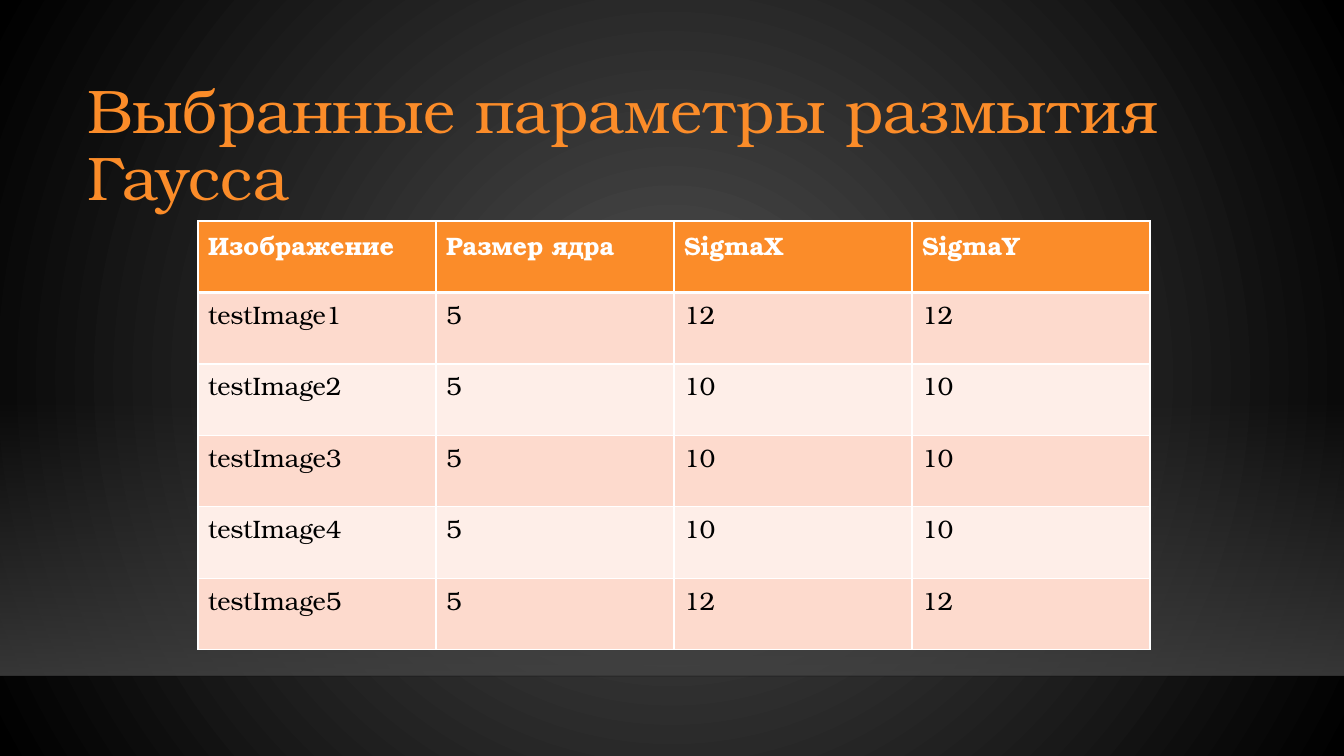
import pptx
import pptx.util
import pptx.dml.color
import pptx.enum.shapes
import pptx.enum.text
import pptx.oxml
import pptx.oxml.ns

RGB = pptx.dml.color.RGBColor
ORANGE = RGB(0xFB, 0x8C, 0x29)
ROSE = RGB(0xFD, 0xDA, 0xCD)
PALE = RGB(0xFE, 0xEE, 0xE8)
WHITE = RGB(0xFF, 0xFF, 0xFF)
BLACK = RGB(0, 0, 0)
GLOW = RGB(0x50, 0x50, 0x50)
HAZE = RGB(0x45, 0x45, 0x45)
EDGE = RGB(0, 0, 1)

WIDE, HIGH = 1344, 756
FONT = "TeX Gyre Bonum"
NS = pptx.oxml.ns.nsdecls("a")
qn = pptx.oxml.ns.qn

ROWS = [
    ("Изображение", "Размер ядра", "SigmaX", "SigmaY"),
    ("testImage1", "5", "12", "12"),
    ("testImage2", "5", "10", "10"),
    ("testImage3", "5", "10", "10"),
    ("testImage4", "5", "10", "10"),
    ("testImage5", "5", "12", "12"),
]


def px(num):
    return pptx.util.Emu(round(num * 12192000 / WIDE))


def style(para, size, color, bold=False):
    font = para.font
    font.name, font.size, font.bold = FONT, pptx.util.Pt(size), bold
    font.color.rgb = color


def blend(host, stops, way):
    """Swap the solid fill of host for a gradient of (color, opacity) stops."""
    marks = "".join(
        f'<a:gs pos="{pos}"><a:srgbClr val="{color}">'
        f'<a:alpha val="{alpha * 1000}"/></a:srgbClr></a:gs>'
        for pos, (color, alpha) in zip((0, 100000), stops))
    grad = pptx.oxml.parse_xml(
        f'<a:gradFill {NS} rotWithShape="1"><a:gsLst>{marks}</a:gsLst>{way}</a:gradFill>')
    host.replace(host.find(qn("a:solidFill")), grad)


def add_back(slide):
    slide.background.fill.solid()
    slide.background.fill.fore_color.rgb = GLOW
    blend(slide.element.find(".//" + qn("p:bgPr")), [(GLOW, 100), (BLACK, 100)],
          '<a:path path="circle"><a:fillToRect l="50000" t="50000" r="50000" b="50000"/></a:path>')


def add_floor(slide, x, y, w, h):
    """Draw the hazy band and the faint line along its foot."""
    band = slide.shapes.add_shape(
        pptx.enum.shapes.MSO_SHAPE.RECTANGLE, px(x), px(y), px(w), px(h))
    band.shadow.inherit = False
    band.line.fill.background()
    band.fill.solid()
    band.fill.fore_color.rgb = HAZE
    blend(band.element.spPr, [(HAZE, 0), (HAZE, 80)], '<a:lin ang="5400000" scaled="0"/>')

    foot = slide.shapes.add_connector(
        pptx.enum.shapes.MSO_CONNECTOR.STRAIGHT, px(x), px(y + h), px(x + w), px(y + h))
    foot.line.width = pptx.util.Pt(1)
    foot.line.color.rgb = EDGE
    tint = foot.element.spPr.find(".//" + qn("a:srgbClr"))
    tint.append(pptx.oxml.parse_xml(f'<a:alpha {NS} val="20000"/>'))
    foot.element.spPr.append(pptx.oxml.parse_xml(f"<a:effectLst {NS}/>"))


def set_title(slide, text, x, y, w, h):
    title = slide.shapes.title
    slide.shapes.element.append(title.element)  # bring in front of the floor
    title.left, title.top, title.width, title.height = px(x), px(y), px(w), px(h)
    frame = title.text_frame
    frame.text = text
    frame.word_wrap = True
    frame.auto_size = pptx.enum.text.MSO_AUTO_SIZE.NONE
    frame.vertical_anchor = pptx.enum.text.MSO_ANCHOR.MIDDLE
    para = frame.paragraphs[0]
    para.alignment = pptx.enum.text.PP_ALIGN.LEFT
    para.line_spacing = 0.9
    style(para, 44, ORANGE)


def rule_cell(cell, top, foot):
    """Put white borders round a cell, with top and foot widths in points."""
    props = cell._tc.get_or_add_tcPr()
    for pos, (side, width) in enumerate(zip("LRTB", (1, 1, top, foot))):
        props.insert(pos, pptx.oxml.parse_xml(
            f'<a:ln{side} {NS} w="{pptx.util.Pt(width)}"><a:solidFill>'
            f'<a:srgbClr val="{WHITE}"/></a:solidFill></a:ln{side}>'))


def add_grid(slide, rows, x, y, w, h):
    table = slide.shapes.add_table(
        len(rows), len(rows[0]), px(x), px(y), px(w), px(h)).table
    for col in table.columns:
        col.width = px(w / len(rows[0]))
    for r, row in enumerate(rows):
        table.rows[r].height = px(h / len(rows))
        head = r == 0
        fill = ORANGE if head else (PALE, ROSE)[r % 2]
        for c, text in enumerate(row):
            cell = table.cell(r, c)
            cell.text = text
            cell.fill.solid()
            cell.fill.fore_color.rgb = fill
            style(cell.text_frame.paragraphs[0], 18, WHITE if head else BLACK, head)
            rule_cell(cell, 3 if r == 1 else 1, 3 if head else 1)


def main():
    deck = pptx.Presentation()
    deck.slide_width, deck.slide_height = px(WIDE), px(HIGH)
    slide = deck.slides.add_slide(deck.slide_layouts[5])
    add_back(slide)
    add_floor(slide, 0, 399, WIDE, 277)
    set_title(slide, "Выбранные параметры размытия Гаусса", 77, 89, 1175, 116)
    add_grid(slide, ROWS, 198, 221, 952, 429)
    deck.save("out.pptx")


if __name__ == "__main__":
    main()
